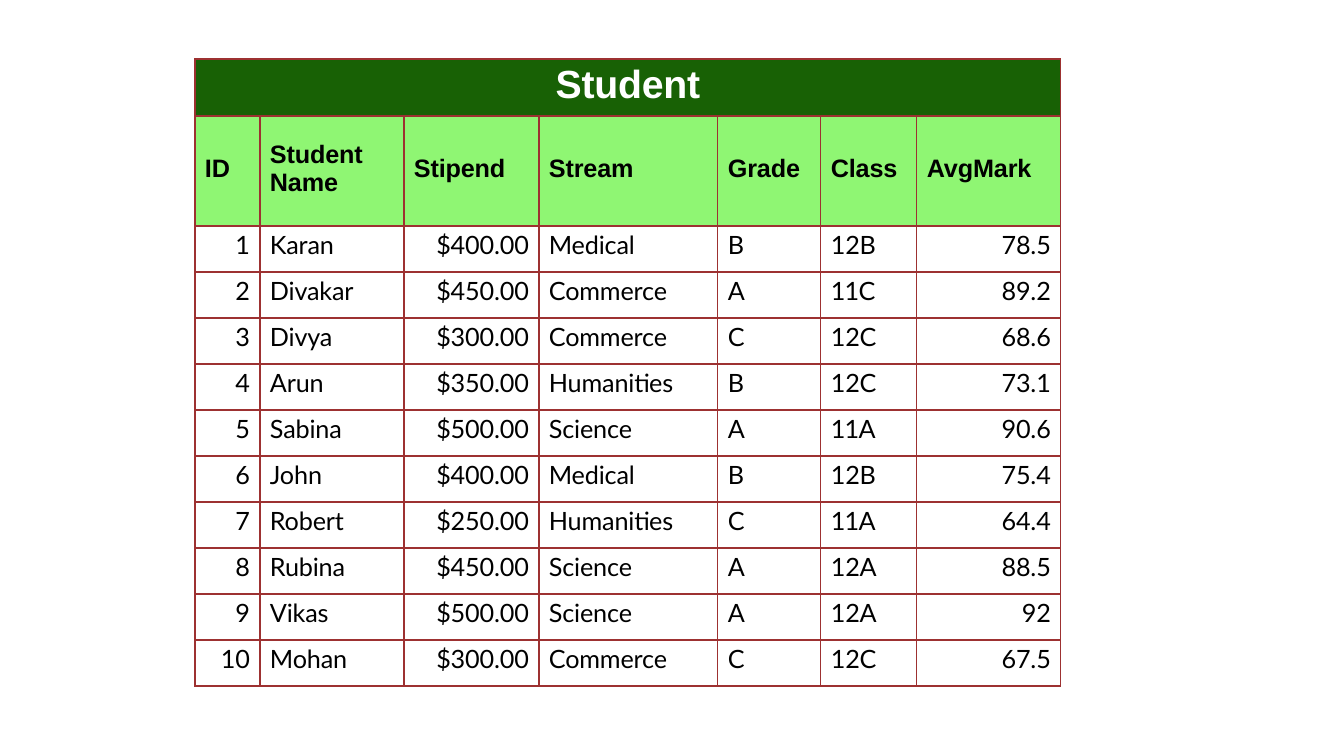
from lxml.etree import SubElement
from pptx import Presentation
from pptx.dml.color import RGBColor
from pptx.enum.text import MSO_ANCHOR, PP_ALIGN
from pptx.oxml.ns import qn
from pptx.util import Emu, Pt

TITLE = "Student"
HEADERS = ["ID", "Student\nName", "Stipend", "Stream", "Grade", "Class", "AvgMark"]
STUDENTS = [
    ("1", "Karan", "$400.00", "Medical", "B", "12B", "78.5"),
    ("2", "Divakar", "$450.00", "Commerce", "A", "11C", "89.2"),
    ("3", "Divya", "$300.00", "Commerce", "C", "12C", "68.6"),
    ("4", "Arun", "$350.00", "Humanities", "B", "12C", "73.1"),
    ("5", "Sabina", "$500.00", "Science", "A", "11A", "90.6"),
    ("6", "John", "$400.00", "Medical", "B", "12B", "75.4"),
    ("7", "Robert", "$250.00", "Humanities", "C", "11A", "64.4"),
    ("8", "Rubina", "$450.00", "Science", "A", "12A", "88.5"),
    ("9", "Vikas", "$500.00", "Science", "A", "12A", "92"),
    ("10", "Mohan", "$300.00", "Commerce", "C", "12C", "67.5"),
]
NUMERIC_COLS = {0, 2, 6}

LEFT, TOP = 195, 59
COL_WIDTHS = [65, 144, 135, 179, 103, 96, 144]
ROW_HEIGHTS = [57, 110] + [46] * len(STUDENTS)
SIDE_PAD, TOP_PAD, HEADER_BOTTOM_PAD = 10, 4, 5

WHITE = RGBColor(0xFF, 0xFF, 0xFF)
BLACK = RGBColor(0x00, 0x00, 0x00)
DARK_GREEN = RGBColor(0x18, 0x61, 0x05)
LIGHT_GREEN = RGBColor(0x8F, 0xF6, 0x73)
BORDER = RGBColor(0x9D, 0x31, 0x31)


def px(n):
    return Emu(round(n * 914400 / 100.8))


def set_borders(cell):
    tc_pr = cell._tc.get_or_add_tcPr()
    for side in ("a:lnL", "a:lnR", "a:lnT", "a:lnB"):
        ln = SubElement(tc_pr, qn(side), w=str(Pt(1)))
        fill = SubElement(ln, qn("a:solidFill"))
        SubElement(fill, qn("a:srgbClr"), val=str(BORDER))


def set_text(cell, text, size, font, color, bold, align):
    """Write one paragraph per line of text, slightly tightened."""
    tf = cell.text_frame
    for i, line in enumerate(text.split("\n")):
        p = tf.add_paragraph() if i else tf.paragraphs[0]
        p.alignment = align
        r = p.add_run()
        r.text = line
        r.font.size, r.font.name, r.font.bold = Pt(size), font, bold
        r.font.color.rgb = color
        r._r.get_or_add_rPr().set("spc", "-50" if line.startswith("11") else "-10")


def set_margins(cell, top, bottom, side=SIDE_PAD):
    cell.margin_left = cell.margin_right = px(side)
    cell.margin_top, cell.margin_bottom = px(top), px(bottom)


def set_fill(cell, color):
    cell.fill.solid()
    cell.fill.fore_color.rgb = color


def main():
    prs = Presentation()
    prs.slide_width, prs.slide_height = px(1344), px(756)
    slide = prs.slides.add_slide(prs.slide_layouts[6])

    table = slide.shapes.add_table(
        len(ROW_HEIGHTS), len(COL_WIDTHS), px(LEFT), px(TOP),
        px(sum(COL_WIDTHS)), px(sum(ROW_HEIGHTS))).table
    table.first_row = table.horz_banding = False
    for column, width in zip(table.columns, COL_WIDTHS):
        column.width = px(width)
    for row, height in zip(table.rows, ROW_HEIGHTS):
        row.height = px(height)
    for cell in table.iter_cells():
        set_borders(cell)

    title = table.cell(0, 0)
    title.merge(table.cell(0, len(COL_WIDTHS) - 1))
    set_margins(title, TOP_PAD, 0, 0)
    set_fill(title, DARK_GREEN)
    set_text(title, TITLE, 28, "Arial", WHITE, True, PP_ALIGN.CENTER)

    for c, header in enumerate(HEADERS):
        cell = table.cell(1, c)
        cell.vertical_anchor = MSO_ANCHOR.MIDDLE
        set_margins(cell, 0, HEADER_BOTTOM_PAD, SIDE_PAD)
        cell.margin_right = 0
        set_fill(cell, LIGHT_GREEN)
        set_text(cell, header, 18, "Arial", BLACK, True, PP_ALIGN.LEFT)

    for r, student in enumerate(STUDENTS, start=2):
        for c, value in enumerate(student):
            cell = table.cell(r, c)
            set_margins(cell, TOP_PAD, 0)
            cell.fill.background()
            align = PP_ALIGN.RIGHT if c in NUMERIC_COLS else PP_ALIGN.LEFT
            set_text(cell, value, 18, "Lato", BLACK, False, align)

    prs.save("out.pptx")


if __name__ == "__main__":
    main()
